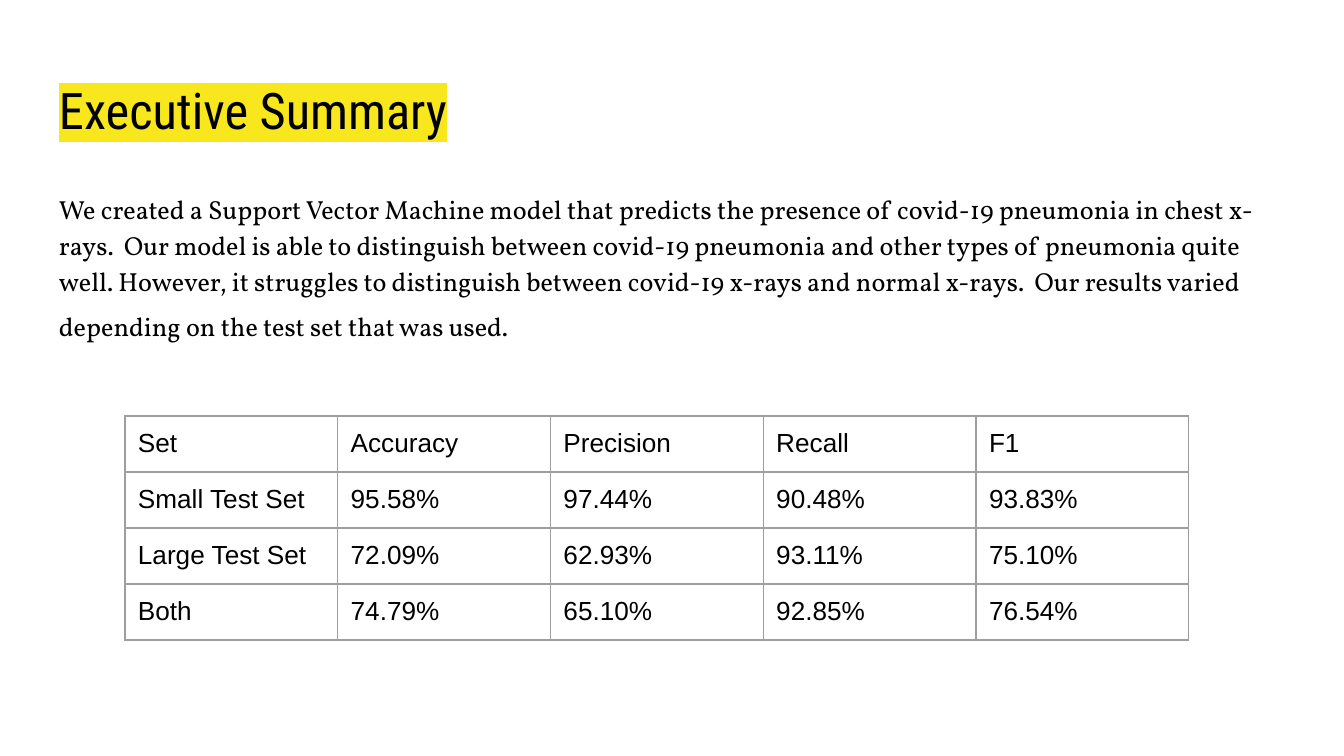
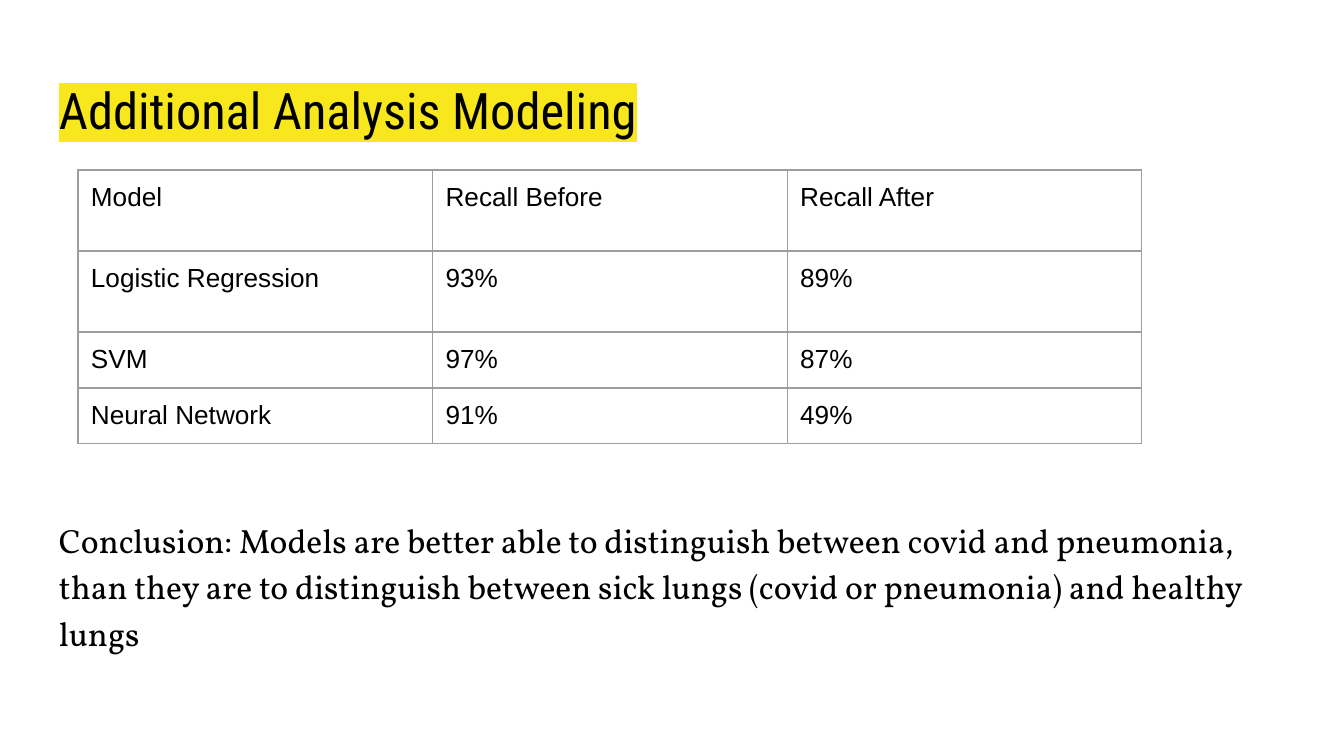
from dataclasses import dataclass

from lxml import etree
from pptx import Presentation
from pptx import util as u
from pptx.dml.color import RGBColor
from pptx.enum import text as t
from pptx.oxml import ns

EMU_PER_PX = 914400 / 134.4


@dataclass(frozen=True)
class Theme:
    ink: str = "000000"
    marker: str = "F8E71C"
    grid: str = "9E9E9E"
    title_font: str = "Roboto Condensed"
    body_font: str = "Vollkorn"
    table_font: str = "Arial"
    title_size: int = 27
    large_size: int = 18
    small_size: int = 14
    inset: int = 13
    grid_width: float = 0.75


THEME = Theme()
TITLE_BOX = (46, 66, 1253, 85)
TABLE_WIDTH = 1064

SUMMARY = (
    "We created a Support Vector Machine model that predicts the presence of "
    "covid-19 pneumonia in chest x-rays.  Our model is able to distinguish "
    "between covid-19 pneumonia and other types of pneumonia quite well. "
    "However, it struggles to distinguish between covid-19 x-rays and normal "
    "x-rays.  Our results varied depending on the test set that was used."
)
CONCLUSION = (
    "Conclusion: Models are better able to distinguish between covid and "
    "pneumonia, than they are to distinguish between sick lungs (covid or "
    "pneumonia) and healthy lungs"
)
TEST_SET_SCORES = [
    ("Set", "Accuracy", "Precision", "Recall", "F1"),
    ("Small Test Set", "95.58%", "97.44%", "90.48%", "93.83%"),
    ("Large Test Set", "72.09%", "62.93%", "93.11%", "75.10%"),
    ("Both", "74.79%", "65.10%", "92.85%", "76.54%"),
]
RECALL_CHANGES = [
    ("Model", "Recall Before", "Recall After"),
    ("Logistic Regression", "93%", "89%"),
    ("SVM", "97%", "87%"),
    ("Neural Network", "91%", "49%"),
]


def px(length):
    return u.Emu(round(length * EMU_PER_PX))


def add_text(paragraph, words, *, font, size, color=THEME.ink, highlight=None):
    run = paragraph.add_run()
    run.text = words
    run.font.name = font
    run.font.size = u.Pt(size)
    run.font.color.rgb = RGBColor.from_string(color)
    if highlight:
        marker = etree.Element(ns.qn("a:highlight"))
        etree.SubElement(marker, ns.qn("a:srgbClr"), val=highlight)
        run.font.fill  # the highlight belongs right after the text fill
        run._r.rPr.find(ns.qn("a:solidFill")).addnext(marker)


def set_insets(holder):
    """Give a text frame or table cell the same margin on every side."""
    holder.margin_left = holder.margin_right = px(THEME.inset)
    holder.margin_top = holder.margin_bottom = px(THEME.inset)
    holder.vertical_anchor = t.MSO_ANCHOR.TOP


def prepare_placeholder(placeholder, box):
    """Place it and return its first paragraph, left-aligned without bullet."""
    placeholder.left, placeholder.top, placeholder.width, placeholder.height = map(px, box)
    frame = placeholder.text_frame
    frame.word_wrap = True
    frame.auto_size = t.MSO_AUTO_SIZE.NONE
    set_insets(frame)
    paragraph = frame.paragraphs[0]
    properties = paragraph._p.get_or_add_pPr()
    properties.set("marL", "0")
    properties.set("indent", "0")
    etree.SubElement(properties, ns.qn("a:buNone"))
    paragraph.alignment = t.PP_ALIGN.LEFT
    paragraph.space_before = u.Pt(0)
    return paragraph


def add_titled_slide(deck, title):
    slide = deck.slides.add_slide(deck.slide_layouts[1])
    heading = prepare_placeholder(slide.shapes.title, TITLE_BOX)
    add_text(heading, title, font=THEME.title_font, size=THEME.title_size,
             highlight=THEME.marker)
    return slide


def add_body(slide, words, top, height, size, space_after=0):
    left, _, width, _ = TITLE_BOX
    body = prepare_placeholder(slide.placeholders[1], (left, top, width, height))
    body.line_spacing = 1.15
    body.space_after = u.Pt(space_after)
    add_text(body, words, font=THEME.body_font, size=size)
    return body


def draw_borders(cell):
    properties = cell._tc.get_or_add_tcPr()
    for side in ("lnL", "lnR", "lnT", "lnB"):
        line = etree.SubElement(properties, ns.qn(f"a:{side}"),
                                w=str(u.Pt(THEME.grid_width)))
        fill = etree.SubElement(line, ns.qn("a:solidFill"))
        etree.SubElement(fill, ns.qn("a:srgbClr"), val=THEME.grid)


def add_score_table(slide, scores, left, top, row_heights):
    columns = len(scores[0])
    table = slide.shapes.add_table(
        len(scores), columns, px(left), px(top),
        px(TABLE_WIDTH), px(sum(row_heights))).table
    table.first_row = table.horz_banding = False
    for column in table.columns:
        column.width = px(TABLE_WIDTH / columns)
    for row, height, values in zip(table.rows, row_heights, scores):
        row.height = px(height)
        for cell, value in zip(row.cells, values):
            set_insets(cell)
            draw_borders(cell)
            cell.fill.background()
            add_text(cell.text_frame.paragraphs[0], value,
                     font=THEME.table_font, size=THEME.small_size)


def main():
    deck = Presentation()
    deck.slide_width, deck.slide_height = px(1344), px(756)

    summary = add_titled_slide(deck, "Executive Summary")
    findings = add_body(summary, SUMMARY, 176, 503, THEME.small_size)
    # A larger closing space sets the height of the last line.
    add_text(findings, " ", font=THEME.body_font, size=THEME.large_size)
    add_score_table(summary, TEST_SET_SCORES, 125, 416, [56] * 4)

    modeling = add_titled_slide(deck, "Additional Analysis Modeling")
    add_body(modeling, CONCLUSION, 501, 171, THEME.large_size, space_after=12)
    add_score_table(modeling, RECALL_CHANGES, 78, 170, [81, 81, 56, 56])

    deck.save("out.pptx")


if __name__ == "__main__":
    main()
